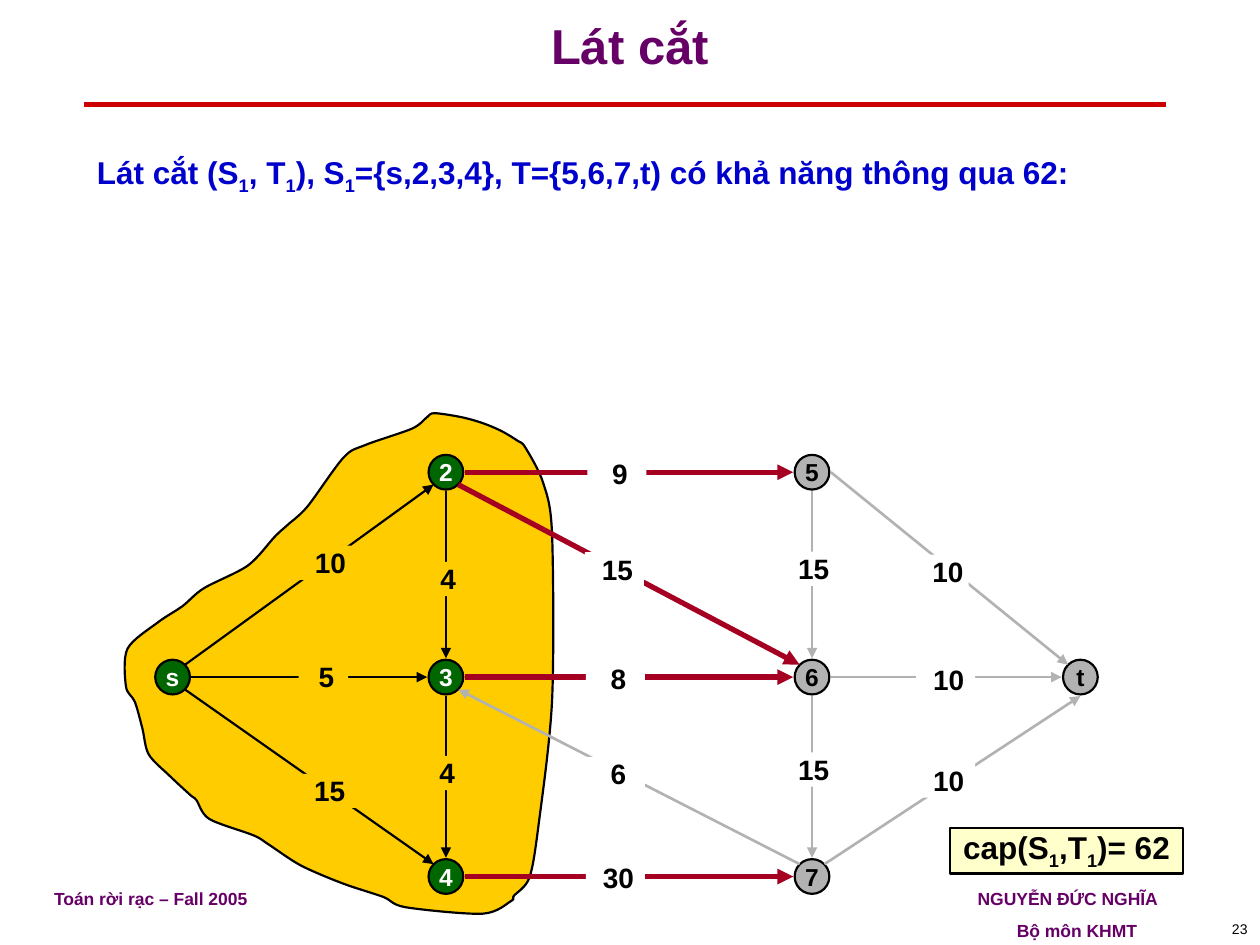
import pptx
import pptx.util
import pptx.dml.color
import pptx.enum.shapes
import pptx.enum.text
import pptx.oxml
import pptx.oxml.ns

Cm = pptx.util.Cm
Pt = pptx.util.Pt
RGBColor = pptx.dml.color.RGBColor
ALIGN = pptx.enum.text.PP_ALIGN
ANCHOR = pptx.enum.text.MSO_ANCHOR
SHAPE = pptx.enum.shapes.MSO_SHAPE
NAMESPACE = 'xmlns:a="http://schemas.openxmlformats.org/drawingml/2006/main"'

BLACK = RGBColor(0x00, 0x00, 0x00)
WHITE = RGBColor(0xFF, 0xFF, 0xFF)
PURPLE = RGBColor(0x66, 0x00, 0x66)
BLUE = RGBColor(0x00, 0x00, 0xCC)
RED = RGBColor(0xCC, 0x00, 0x00)
CRIMSON = RGBColor(0xA5, 0x00, 0x21)
GREEN = RGBColor(0x00, 0x66, 0x00)
GRAY = RGBColor(0xB2, 0xB2, 0xB2)
GOLD = RGBColor(0xFF, 0xCC, 0x00)
CREAM = RGBColor(0xFF, 0xFF, 0xCC)

COLUMNS = (3.48, 8.99, 16.37, 21.78)
ROWS = (9.52, 13.65, 17.67)
NODES = {
    "s": (0, 1), "2": (1, 0), "3": (1, 1), "4": (1, 2),
    "5": (2, 0), "6": (2, 1), "7": (2, 2), "t": (3, 1),
}
SOURCE_SIDE = "s234"
NODE_SIZE = 0.7
REACH = {
    "N": (0, -0.38), "S": (0, 0.38), "W": (-0.38, 0), "E": (0.38, 0),
    "NE": (0.25, -0.25), "SE": (0.25, 0.25), "NW": (-0.25, -0.25), "SW": (-0.25, 0.25),
}
EDGE_STYLES = {
    "inside": {"color": BLACK, "width": 1.25, "fill": GOLD, "arrow": "tailEnd"},
    "cut": {"color": CRIMSON, "width": 3, "fill": WHITE, "arrow": "tailEnd"},
    "outside": {"color": GRAY, "width": 1.5, "fill": WHITE, "arrow": "tailEnd"},
    "back": {"color": GRAY, "width": 1.5, "fill": WHITE, "arrow": "headEnd"},
}
EDGES = [
    ("s", "NE", "2", "SW", "inside", "10", 5.89, 11.0, 1.19, 0.35),
    ("s", "E", "3", "W", "inside", "5", 6.02, 13.3, 1.0, 0.12),
    ("s", "SE", "4", "NW", "inside", "15", 5.99, 15.6, 1.19, 0.12),
    ("2", "S", "3", "N", "inside", "4", 8.38, 11.33, 1.19, 0.12),
    ("3", "S", "4", "N", "inside", "4", 8.36, 15.24, 1.19, 0.12),
    ("3", "SE", "7", "NW", "back", "6", 11.81, 15.26, 1.19, 0.12),
    ("2", "E", "5", "W", "cut", "9", 11.84, 9.21, 1.19, 0.12),
    ("2", "SE", "6", "NW", "cut", "15", 11.79, 11.13, 1.19, 0.12),
    ("3", "E", "6", "W", "cut", "8", 11.81, 13.34, 1.19, 0.12),
    ("4", "E", "7", "W", "cut", "30", 11.81, 17.35, 1.19, 0.12),
    ("5", "S", "6", "N", "outside", "15", 15.75, 11.12, 1.19, 0.12),
    ("6", "S", "7", "N", "outside", "15", 15.75, 15.17, 1.19, 0.12),
    ("5", "E", "t", "NW", "outside", "10", 18.34, 11.18, 1.19, 0.35),
    ("6", "E", "t", "W", "outside", "10", 18.47, 13.36, 1.19, 0.12),
    ("7", "NE", "t", "S", "outside", "10", 18.47, 15.39, 1.19, 0.12),
]
CUT_OUTLINE = [
    (8.76, 8.33), (9.3, 8.41), (9.73, 8.53), (10.11, 8.69), (10.44, 8.89), (10.59, 9.02),
    (10.95, 9.73), (11.13, 10.77), (11.13, 14.12), (10.85, 16.69), (10.67, 17.7),
    (10.36, 18.06), (10.31, 18.16), (9.73, 18.42), (8.18, 18.29), (7.72, 18.08),
    (6.91, 17.81), (6.07, 17.45), (5.41, 17.02), (5.11, 16.84), (4.22, 16.51),
    (3.96, 16.13), (3.84, 16.03), (3.43, 15.65), (3.0, 15.21), (2.87, 14.68),
    (2.72, 14.15), (2.54, 13.84), (2.57, 13.08), (3.18, 12.55), (3.68, 12.22),
    (4.11, 11.86), (5.0, 11.4), (5.54, 10.82), (5.79, 10.59), (6.2, 10.21),
    (6.93, 9.22), (7.37, 8.97), (8.31, 8.64), (8.61, 8.41),
]
TENSION = 7


def apply(target, values):
    """Set each named attribute on the target."""
    for name, value in values.items():
        setattr(target, name, value)


def add_xml(parent, tag, attributes="", content=""):
    """Append one drawing element to the parent."""
    parent.append(pptx.oxml.parse_xml(f"<a:{tag} {NAMESPACE} {attributes}>{content}</a:{tag}>"))


def write(para, text, size, color, bold=True, **layout):
    """Fill a paragraph, with every second part between bars as a subscript."""
    apply(para, layout)
    for index, part in enumerate(text.split("|")):
        span = para.add_run()
        span.text = part
        apply(span.font, {"name": "Arial", "size": Pt(size), "bold": bold})
        span.font.color.rgb = color
        if index % 2:
            span.font._element.set("baseline", "-25000")


def place(box, left, top, width, height):
    """Move and size a box in centimetres."""
    apply(box, {"left": Cm(left), "top": Cm(top), "width": Cm(width), "height": Cm(height)})


def paint(shape, fill, outline=BLACK):
    """Give a shape a flat fill and an optional thin outline."""
    shape.shadow.inherit = False
    shape.fill.solid()
    shape.fill.fore_color.rgb = fill
    if outline is None:
        shape.line.fill.background()
    else:
        shape.line.color.rgb = outline
        shape.line.width = Pt(1.25)


def add_line(page, start, end, color, width, arrow=None):
    """Draw a straight line, with an arrowhead at the named end."""
    kind = pptx.enum.shapes.MSO_CONNECTOR.STRAIGHT
    line = page.shapes.add_connector(kind, *map(Cm, (*start, *end)))
    line.line.color.rgb = color
    line.line.width = Pt(width)
    properties = line.element.spPr
    if arrow:
        add_xml(properties.find(pptx.oxml.ns.qn("a:ln")), arrow, 'type="triangle"')
    add_xml(properties, "effectLst")


def add_plate(page, text, size, area, fill, outline=None, indent=0):
    """Draw a filled rectangle with tight centred text."""
    box = page.shapes.add_shape(SHAPE.RECTANGLE, *map(Cm, area))
    paint(box, fill, outline)
    apply(box.text_frame, {
        "margin_left": Cm(indent), "margin_right": 0, "margin_top": 0, "margin_bottom": 0,
        "word_wrap": True, "vertical_anchor": ANCHOR.TOP,
    })
    write(box.text_frame.paragraphs[0], text, size, BLACK, alignment=ALIGN.CENTER)


def centre(name):
    """Return the centre of a node."""
    column, row = NODES[name]
    return COLUMNS[column], ROWS[row]


def port(name, side):
    """Return the point where an edge meets a node."""
    return tuple(a + b for a, b in zip(centre(name), REACH[side]))


def add_node(page, name):
    """Draw a named node of the network."""
    x, y = centre(name)
    area = (x - NODE_SIZE / 2, y - NODE_SIZE / 2, NODE_SIZE, NODE_SIZE)
    node = page.shapes.add_shape(SHAPE.OVAL, *map(Cm, area))
    inside = name in SOURCE_SIDE
    paint(node, GREEN if inside else GRAY)
    apply(node.text_frame, {"word_wrap": False, "vertical_anchor": ANCHOR.MIDDLE})
    write(node.text_frame.paragraphs[0], name, 14, WHITE if inside else BLACK, alignment=ALIGN.CENTER)


def add_edge(page, start, start_side, end, end_side, style, capacity, left, top, width, indent):
    """Draw a directed edge with its capacity."""
    look = EDGE_STYLES[style]
    ends = port(start, start_side), port(end, end_side)
    add_line(page, *ends, look["color"], look["width"], look["arrow"])
    add_plate(page, capacity, 16, (left, top, width, 0.69), look["fill"], indent=indent)


def bend(region):
    """Turn the straight sides of a closed outline into smooth curves."""
    sides = list(region.element.iter(pptx.oxml.ns.qn("a:lnTo")))
    points = [(int(side[0].get("x")), int(side[0].get("y"))) for side in sides]
    for index, side in enumerate(sides):
        a, b, c, d = (points[(index + shift) % len(points)] for shift in (-2, -1, 0, 1))
        leave = [q + (r - p) / TENSION for p, q, r in zip(a, b, c)]
        arrive = [r - (s - q) / TENSION for q, r, s in zip(b, c, d)]
        content = "".join(f'<a:pt x="{round(x)}" y="{round(y)}"/>' for x, y in (leave, arrive, c))
        add_xml(side.getparent(), "cubicBezTo", content=content)
        side.getparent().replace(side, side.getparent()[-1])


def add_region(page):
    """Draw the source side of the cut."""
    start, *rest = [(Cm(x), Cm(y)) for x, y in CUT_OUTLINE]
    builder = page.shapes.build_freeform(*start)
    builder.add_line_segments([*rest, start], close=True)
    region = builder.convert_to_shape()
    bend(region)
    paint(region, GOLD)


def add_note(page, area, text, size, color, bold=True, **layout):
    """Add a small text box and return it."""
    box = page.shapes.add_textbox(*map(Cm, area))
    box.text_frame.word_wrap = True
    write(box.text_frame.paragraphs[0], text, size, color, bold, **layout)
    return box


def add_heading(page):
    """Fill the title and body placeholders and draw the rule."""
    title, body = page.placeholders
    place(title, 0, 0, 25.4, 2.11)
    place(body, 1.7, 2.95, 21.8, 2.11)
    for box, anchor in ((title, ANCHOR.MIDDLE), (body, ANCHOR.TOP)):
        apply(box.text_frame, {
            "auto_size": pptx.enum.text.MSO_AUTO_SIZE.NONE,
            "vertical_anchor": anchor, "word_wrap": True,
        })
    write(title.text_frame.paragraphs[0], "Lát cắt", 28, PURPLE, alignment=ALIGN.CENTER, line_spacing=0.7)
    para = body.text_frame.paragraphs[0]
    apply(para, {"space_before": Pt(0), "alignment": ALIGN.LEFT})
    properties = para._p.get_or_add_pPr()
    for name in ("marL", "indent"):
        properties.set(name, "0")
    add_xml(properties, "buNone")
    write(para, "Lát cắt (S|1|, T|1|), S|1|={s,2,3,4}, T={5,6,7,t) có khả năng thông qua 62:", 18, BLUE)
    add_line(page, (1.7, 2.11), (23.5, 2.11), RED, 3)


def add_footer(page):
    """Add the course, the author and the page number."""
    credit = add_note(page, (0.84, 17.78, 23.06, 1.32), "Toán rời rạc – Fall 2005\tNGUYỄN ĐỨC NGHĨA", 10, PURPLE)
    stop = f'<a:tab pos="{Cm(18.62)}" algn="l"/>'
    add_xml(credit.text_frame.paragraphs[0]._p.get_or_add_pPr(), "tabLst", content=stop)
    para = credit.text_frame.add_paragraph()
    para._p.get_or_add_pPr().set("marL", str(Cm(19.41)))
    write(para, "Bộ môn KHMT", 10, PURPLE, space_before=Pt(6.2))
    number = add_note(page, (20.12, 18.42, 5.28, 0.63), "23", 8, BLACK, False, alignment=ALIGN.RIGHT)
    number.text_frame.vertical_anchor = ANCHOR.MIDDLE


def main():
    """Build the slide and save it."""
    deck = pptx.Presentation()
    apply(deck, {"slide_width": Cm(25.4), "slide_height": Cm(19.05)})
    page = deck.slides.add_slide(deck.slide_layouts[1])
    add_heading(page)
    add_footer(page)
    add_region(page)
    for name in NODES:
        add_node(page, name)
    for edge in EDGES:
        add_edge(page, *edge)
    add_plate(page, "cap(S|1|,T|1|)= 62", 18, (19.15, 16.69, 4.7, 0.92), CREAM, BLACK)
    deck.save("out.pptx")


if __name__ == "__main__":
    main()
